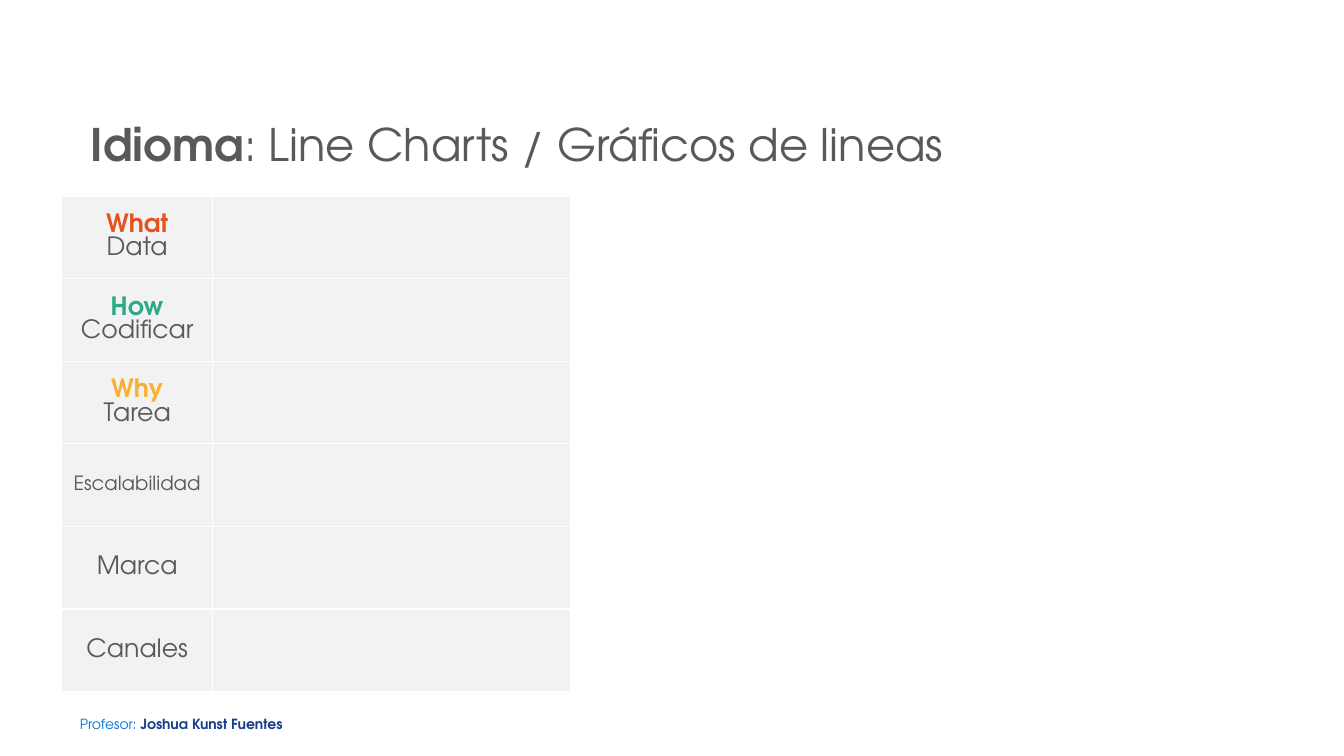
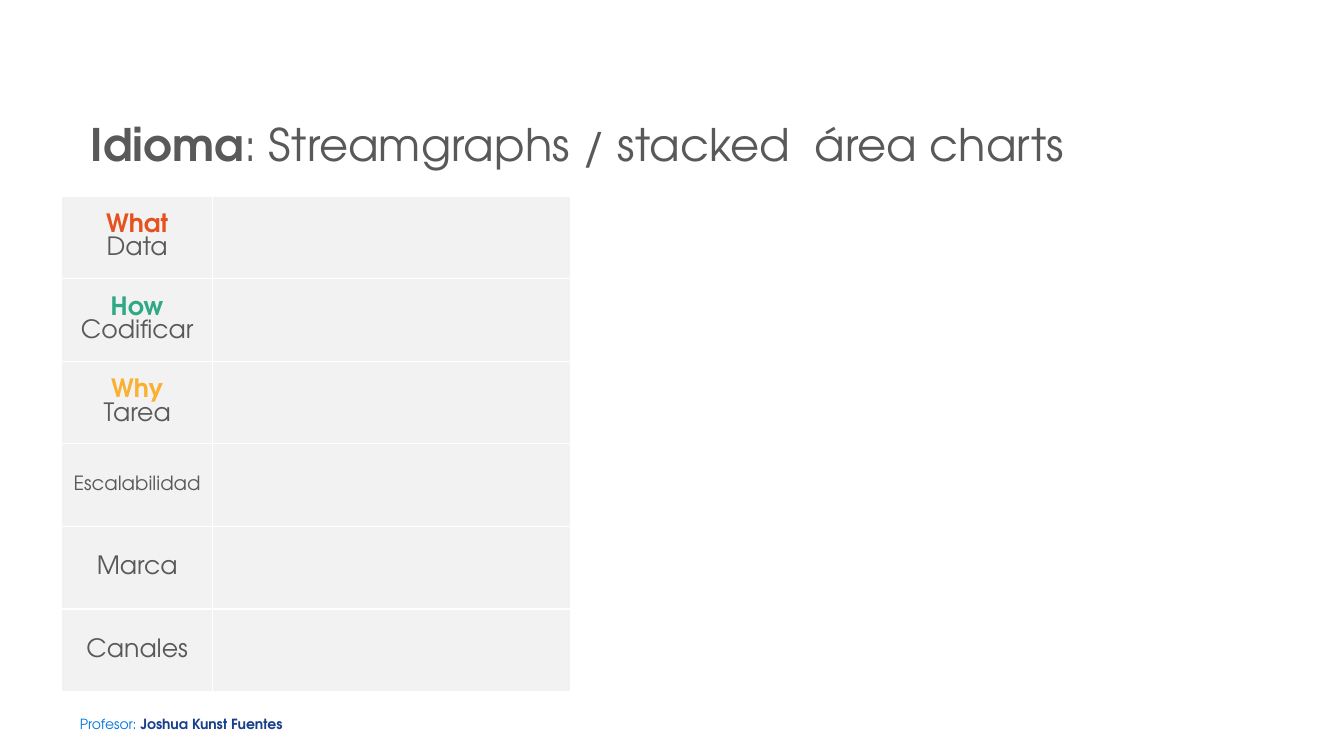
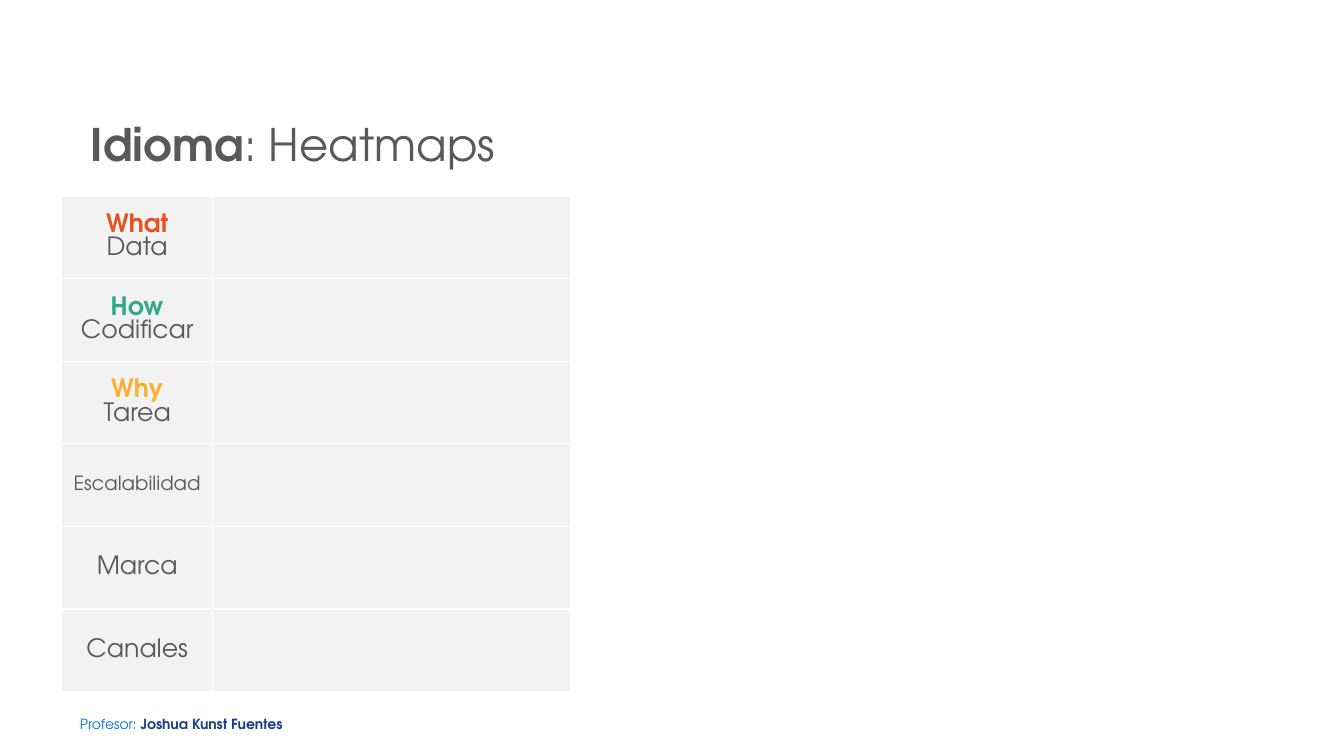
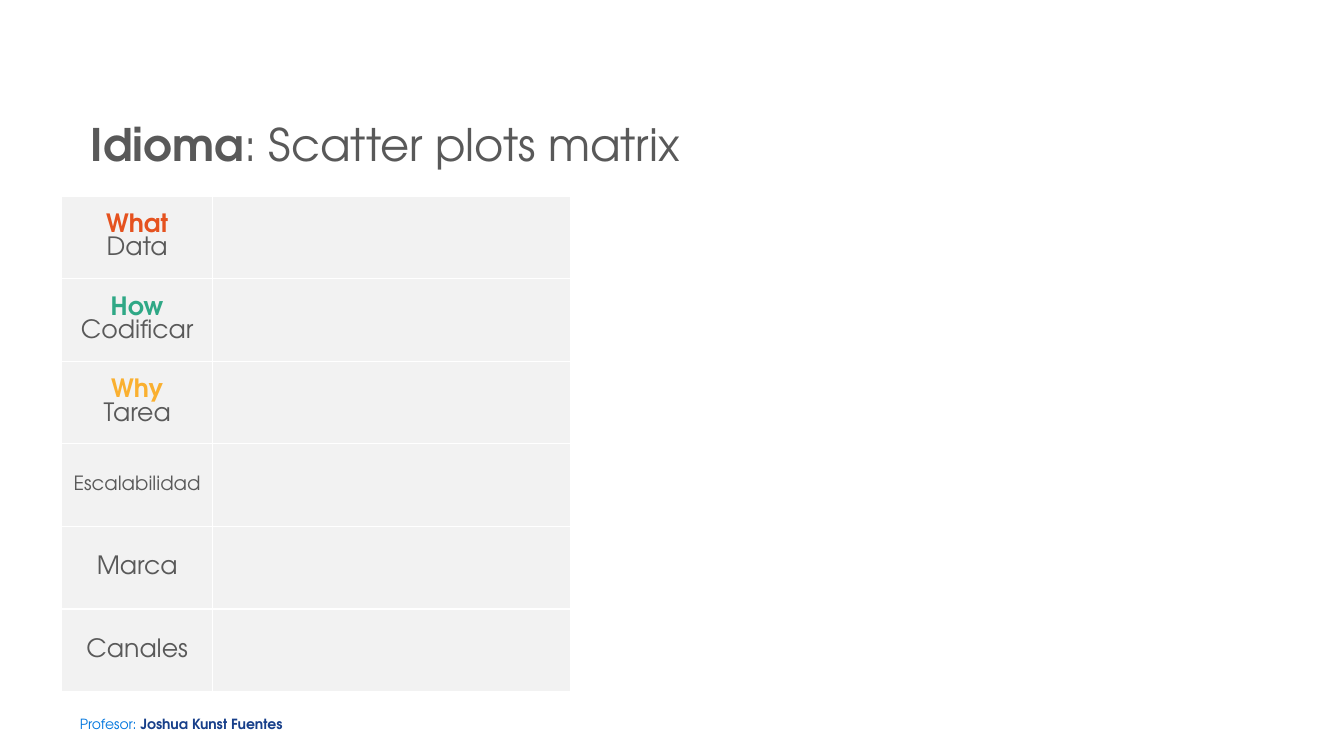
import dataclasses

import lxml.etree
import pptx
import pptx.dml.color
import pptx.enum.text
import pptx.oxml.ns
import pptx.presentation
import pptx.shapes.autoshape
import pptx.slide
import pptx.table
import pptx.text.text
import pptx.util

FONT = "TeX Gyre Adventor"
GREY = "595959"
CELL_FILL = "F2F2F2"
BORDER = "FFFFFF"
ORANGE = "E5521F"
GREEN = "2FA886"
YELLOW = "FAB030"
BLUE = "0176DE"
NAVY = "173F8A"

TITLE_ONLY = 5
ROW_HEIGHT = 59
COLUMN_WIDTHS = (108, 255.5)


@dataclasses.dataclass(frozen=True)
class TextRun:
    text: str
    size: float = 18
    color: str = GREY
    bold: bool = False


@dataclasses.dataclass(frozen=True)
class Idiom:
    name: str
    title_width: float = 748


IDIOMS = (
    Idiom("Line Charts / Gráficos de lineas", 643.5),
    Idiom("Streamgraphs / stacked  área charts"),
    Idiom("Heatmaps"),
    Idiom("Scatter plots matrix"),
)

# One entry per table row, one run per line of its label.
ROW_LABELS = (
    (TextRun("What", color=ORANGE, bold=True), TextRun("Data")),
    (TextRun("How", color=GREEN, bold=True), TextRun("Codificar")),
    (TextRun("Why", color=YELLOW, bold=True), TextRun("Tarea")),
    (TextRun("Escalabilidad", size=14),),
    (TextRun("Marca"),),
    (TextRun("Canales"),),
)


def rgb(color: str) -> pptx.dml.color.RGBColor:
    return pptx.dml.color.RGBColor.from_string(color)


def add_run(paragraph: pptx.text.text._Paragraph, text_run: TextRun) -> None:
    run = paragraph.add_run()
    run.text = text_run.text
    run.font.name = FONT
    run.font.size = pptx.util.Pt(text_run.size)
    run.font.bold = text_run.bold
    run.font.color.rgb = rgb(text_run.color)


def add_footer(slide: pptx.slide.Slide) -> None:
    """Build the footer and move it to the layout that all slides share."""
    footer = slide.shapes.add_textbox(
        pptx.util.Pt(57), pptx.util.Pt(501), pptx.util.Pt(157.5), pptx.util.Pt(18.7)
    )
    frame = footer.text_frame
    frame.word_wrap = True
    frame.auto_size = pptx.enum.text.MSO_AUTO_SIZE.SHAPE_TO_FIT_TEXT
    frame.margin_left = frame.margin_right = pptx.util.Pt(0)
    frame.margin_top = frame.margin_bottom = pptx.util.Pt(0)
    paragraph = frame.paragraphs[0]
    paragraph.line_spacing = pptx.util.Pt(22)
    add_run(paragraph, TextRun("Profesor: ", size=10, color=BLUE))
    add_run(paragraph, TextRun("Joshua Kunst Fuentes", size=10, color=NAVY, bold=True))
    footer.element.nvSpPr.cNvPr.set("id", "20")
    slide.slide_layout.shapes.element.append(footer.element)


def add_title(slide: pptx.slide.Slide, idiom: Idiom) -> None:
    title = slide.shapes.title
    title.left, title.top = pptx.util.Pt(57.6), pptx.util.Pt(46.8)
    title.width, title.height = pptx.util.Pt(idiom.title_width), pptx.util.Pt(72.7)
    frame = title.text_frame
    frame.word_wrap = True
    frame.auto_size = pptx.enum.text.MSO_AUTO_SIZE.SHAPE_TO_FIT_TEXT
    frame.vertical_anchor = pptx.enum.text.MSO_ANCHOR.MIDDLE
    paragraph = frame.paragraphs[0]
    paragraph.alignment = pptx.enum.text.PP_ALIGN.LEFT
    paragraph.line_spacing = 2.0
    add_run(paragraph, TextRun("Idioma", size=32, bold=True))
    add_run(paragraph, TextRun(f": {idiom.name}", size=32))


def style_cell(cell: pptx.table._Cell) -> None:
    """Give the cell its borders, fill and vertical anchor."""
    properties = cell._tc.get_or_add_tcPr()
    for side in ("a:lnL", "a:lnR", "a:lnT", "a:lnB"):
        line = lxml.etree.SubElement(
            properties, pptx.oxml.ns.qn(side), w=str(pptx.util.Pt(1))
        )
        fill = lxml.etree.SubElement(line, pptx.oxml.ns.qn("a:solidFill"))
        lxml.etree.SubElement(fill, pptx.oxml.ns.qn("a:srgbClr"), val=BORDER)
    cell.fill.solid()
    cell.fill.fore_color.rgb = rgb(CELL_FILL)
    cell.vertical_anchor = pptx.enum.text.MSO_ANCHOR.MIDDLE


def add_label(cell: pptx.table._Cell, label: tuple[TextRun, ...]) -> None:
    frame = cell.text_frame
    for index, text_run in enumerate(label):
        paragraph = frame.add_paragraph() if index else frame.paragraphs[0]
        paragraph.alignment = pptx.enum.text.PP_ALIGN.CENTER
        add_run(paragraph, text_run)


def add_analysis_table(slide: pptx.slide.Slide) -> None:
    table = slide.shapes.add_table(
        len(ROW_LABELS),
        len(COLUMN_WIDTHS),
        pptx.util.Pt(44),
        pptx.util.Pt(140),
        pptx.util.Pt(sum(COLUMN_WIDTHS)),
        pptx.util.Pt(ROW_HEIGHT * len(ROW_LABELS)),
    ).table
    table.first_row = False
    table.horz_banding = False
    for column, width in zip(table.columns, COLUMN_WIDTHS):
        column.width = pptx.util.Pt(width)
    for row, label in zip(table.rows, ROW_LABELS):
        row.height = pptx.util.Pt(ROW_HEIGHT)
        for cell in row.cells:
            style_cell(cell)
        add_label(row.cells[0], label)


def main() -> None:
    presentation = pptx.Presentation()
    presentation.slide_width = pptx.util.Pt(960)
    presentation.slide_height = pptx.util.Pt(540)
    layout = presentation.slide_layouts[TITLE_ONLY]
    for idiom in IDIOMS:
        slide = presentation.slides.add_slide(layout)
        add_title(slide, idiom)
        add_analysis_table(slide)
    add_footer(presentation.slides[0])
    presentation.save("out.pptx")


if __name__ == "__main__":
    main()
